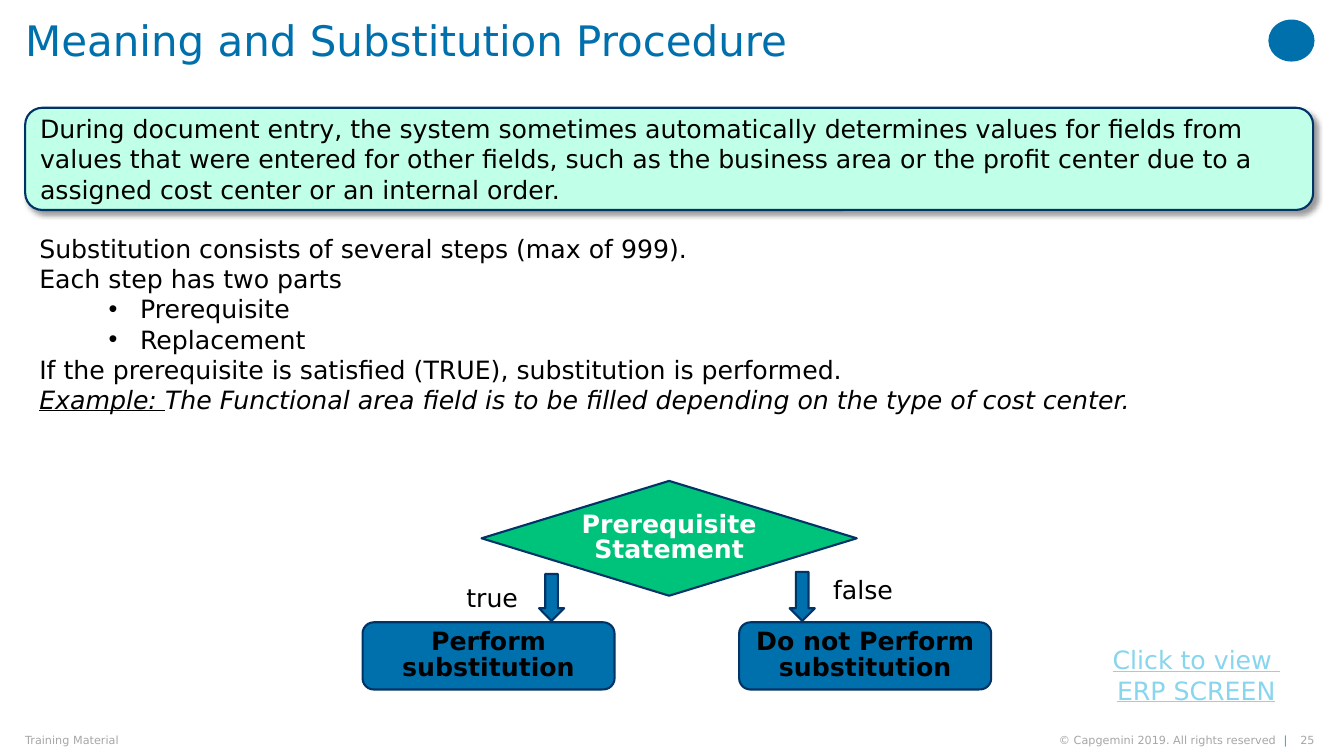
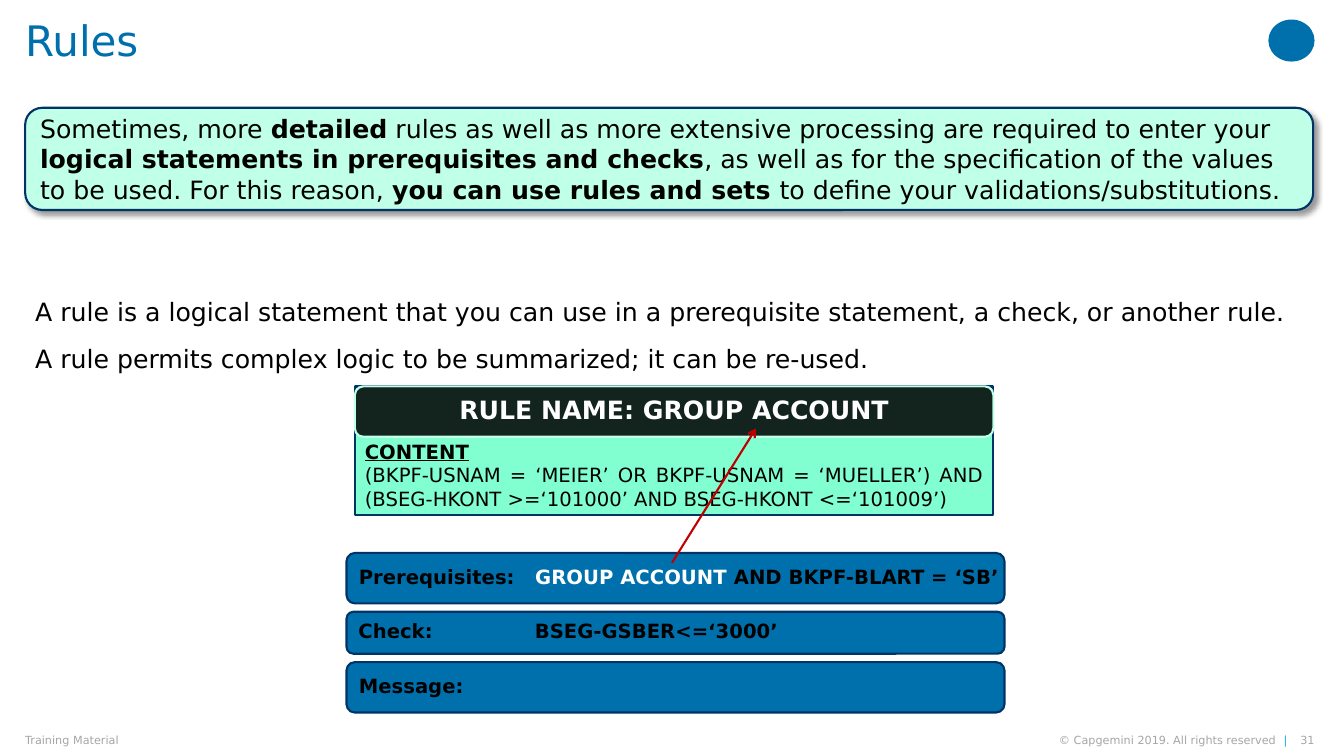
import pptx
import pptx.dml.color
import pptx.enum.shapes
import pptx.enum.text
import pptx.oxml
import pptx.oxml.ns
import pptx.util

Pt = pptx.util.Pt
SHAPE = pptx.enum.shapes.MSO_SHAPE
ALIGN = pptx.enum.text.PP_ALIGN
ANCHOR = pptx.enum.text.MSO_ANCHOR

FONT = "DejaVu Sans"
BLUE, CYAN, NAVY = "0070AD", "12ABDB", "003366"
MINT, AQUA, GREEN = "C0FFE8", "81FFD0", "00C37B"
BLACK, WHITE, GRAY = "000000", "FFFFFF", "A6A6A6"
LINK, RED = "88D5ED", "C00000"
LEFT, WIDTH = 18, 920
BOLD = {"bold": True}
CENTER = {"alignment": ALIGN.CENTER}
TIGHT = {"alignment": ALIGN.CENTER, "line_spacing": 0.85}


def rgb(value):
    """Turn a hex string into a colour."""
    return pptx.dml.color.RGBColor.from_string(value)


def set_all(obj, values):
    """Set every attribute named in a dict."""
    for name, value in values.items():
        setattr(obj, name, value)


def add_xml(parent, xml):
    """Append one drawing element given as a short string."""
    head, sep, rest = xml.partition(" ")
    parent.append(pptx.oxml.parse_xml(f"{head} {pptx.oxml.ns.nsdecls('a')} {rest}"))


def write(sp, paragraphs, size=18, color=BLACK, margins=(7.2, 3.6, 7.2, 3.6),
          anchor=ANCHOR.TOP, fmt=None, font=None):
    """Fill a shape with paragraphs, each a string or a list of (text, font) runs."""
    tf = sp.text_frame
    sides = ("margin_left", "margin_top", "margin_right", "margin_bottom")
    set_all(tf, dict(zip(sides, map(Pt, margins)), word_wrap=True, vertical_anchor=anchor))
    for i, runs in enumerate(paragraphs):
        p = tf.add_paragraph() if i else tf.paragraphs[0]
        set_all(p, {"alignment": ALIGN.LEFT, **(fmt or {})})
        for text, extra in [(runs, {})] if isinstance(runs, str) else runs:
            r = p.add_run()
            r.text = text
            values = {"name": FONT, "size": Pt(size), **(font or {}), **extra}
            r.font.color.rgb = rgb(values.pop("color", color))
            set_all(r.font, values)
    return tf


def add_text(s, box, paragraphs, **style):
    """Add a text box."""
    return write(s.shapes.add_textbox(*map(Pt, box)), paragraphs, **style)


def add_box(s, kind, box, fill, line=NAVY, weight=1.5):
    """Add a filled, outlined preset shape."""
    sp = s.shapes.add_shape(kind, *map(Pt, box))
    sp.shadow.inherit = False
    sp.fill.solid()
    sp.fill.fore_color.rgb = rgb(fill)
    if line:
        sp.line.color.rgb = rgb(line)
        sp.line.width = Pt(weight)
    else:
        sp.line.fill.background()
    return sp


def add_frame(prs, title, number):
    """Add a slide with its title, emblem and footer."""
    s = prs.slides.add_slide(prs.slide_layouts[6])
    add_box(s, SHAPE.OVAL, (906, 14, 33, 30), BLUE, None)
    bar = [("© Capgemini 2019. All rights reserved  ", {}), ("|", {"color": CYAN})]
    footer = [(LEFT, 372, "Training Material", ALIGN.LEFT),
              (710, 209.5, bar, ALIGN.RIGHT),
              (921, 18, number, ALIGN.RIGHT)]
    for x, w, text, align in footer:
        add_text(s, (x, 523.5, w, 9.5), [text], size=8, color=GRAY, margins=(0, 0, 0, 0),
                 anchor=ANCHOR.MIDDLE, fmt={"alignment": align})
    add_text(s, (LEFT, 0, 876, 57), [title], size=30, color=BLUE,
             margins=(0, 14.4, 0, 0), fmt={"line_spacing": 0.9})
    return s


def add_callout(s, runs):
    """Add the shadowed statement under the title."""
    sp = add_box(s, SHAPE.ROUNDED_RECTANGLE, (LEFT, 77, WIDTH, 73), MINT)
    effects = sp._element.spPr.find(pptx.oxml.ns.qn("a:effectLst"))
    add_xml(effects, '<a:outerShdw blurRad="50800" dist="38100" dir="2700000" algn="tl" '
                     'rotWithShape="0"><a:srgbClr val="000000"><a:alpha val="40000"/>'
                     '</a:srgbClr></a:outerShdw>')
    write(sp, [runs], anchor=ANCHOR.MIDDLE)


def add_steps(s, x, y):
    """Add the text on substitution steps."""
    tf = add_text(s, (x, y, 917, 181), [
        "Substitution consists of several steps (max of 999).",
        "Each step has two parts",
        "Prerequisite",
        "Replacement",
        "If the prerequisite is satisfied (TRUE), substitution is performed.",
        [("Example: ", {"italic": True, "underline": True}),
         ("The Functional area field is to be filled depending on the type of cost center.",
          {"italic": True})]])
    for p in tf.paragraphs[2:4]:
        pPr = p._p.get_or_add_pPr()
        pPr.set("marL", str(Pt(72)))
        pPr.set("indent", str(Pt(-22.5)))
        add_xml(pPr, '<a:buFont typeface="Arial"/>')
        add_xml(pPr, '<a:buChar char="•"/>')


def add_decision(s, x, y):
    """Add the decision with its two outcomes."""
    sp = add_box(s, SHAPE.DIAMOND, (x + 85, y, 268, 82), GREEN)
    write(sp, ["Prerequisite", "Statement"], color=WHITE, margins=(0, 0, 0, 0),
          anchor=ANCHOR.MIDDLE, fmt=TIGHT, font=BOLD)
    outcomes = [(0, "Perform", 126, 66.5, "true", 67, 69),
                (269, "Do not Perform", 305, 65, "false", 329, 63)]
    for dx, verb, arrow_x, arrow_y, label, label_x, label_y in outcomes:
        sp = add_box(s, SHAPE.ROUNDED_RECTANGLE, (x + dx, y + 101, 180, 48), BLUE)
        write(sp, [verb, "substitution"], anchor=ANCHOR.MIDDLE, fmt=TIGHT, font=BOLD)
        add_box(s, SHAPE.DOWN_ARROW, (x + arrow_x, y + arrow_y, 18, 100 - arrow_y), BLUE)
        add_text(s, (x + label_x, y + label_y, 58, 29), [label])


def add_rule(s, x, y):
    """Add the rule's content and name."""
    sp = add_box(s, SHAPE.RECTANGLE, (x, y, 456, 92), AQUA, weight=1.75)
    tf = write(sp, [[("CONTENT", {"bold": True, "underline": True})],
                    "(BKPF-USNAM = ‘MEIER’ OR BKPF-USNAM = ‘MUELLER’) AND "
                    "(BSEG-HKONT >=‘101000’ AND BSEG-HKONT <=‘101009’)"],
               size=14, anchor=ANCHOR.BOTTOM)
    tf.paragraphs[1].alignment = ALIGN.JUSTIFY
    sp = add_box(s, SHAPE.ROUNDED_RECTANGLE, (x, y, 456, 36), BLACK, MINT)
    color = sp._element.spPr.find(".//" + pptx.oxml.ns.qn("a:srgbClr"))
    add_xml(color, '<a:alpha val="86000"/>')
    write(sp, ["RULE NAME: GROUP ACCOUNT"], color=WHITE, anchor=ANCHOR.MIDDLE,
          fmt=TIGHT, font=BOLD)


def add_validation(s, x, y):
    """Add the stacked parts of the validation."""
    rows = [(36, [("Prerequisites:\t", {}), ("GROUP ACCOUNT ", {"color": WHITE}),
                  ("AND BKPF-BLART = ‘SB’", {})]),
            (30, "Check:\tBSEG-GSBER<=‘3000’"),
            (36, "Message:")]
    for h, runs in rows:
        sp = add_box(s, SHAPE.ROUNDED_RECTANGLE, (x, y, 470, h), BLUE)
        tf = write(sp, [runs], size=14, margins=(7.2, 3.6, 0, 3.6), anchor=ANCHOR.MIDDLE,
                   fmt={"line_spacing": 0.85}, font=BOLD)
        add_xml(tf.paragraphs[0]._p.get_or_add_pPr(),
                f'<a:tabLst ><a:tab pos="{Pt(126)}" algn="l"/></a:tabLst>')
        y += h + 6


def add_arrow(s, start, end):
    """Add a thin red arrow between two points."""
    sp = s.shapes.add_connector(pptx.enum.shapes.MSO_CONNECTOR.STRAIGHT,
                                *map(Pt, start + end))
    sp.line.color.rgb = rgb(RED)
    sp.line.width = Pt(1.5)
    add_xml(sp.line._get_or_add_ln(), '<a:tailEnd type="arrow"/>')
    add_xml(sp._element.spPr, '<a:effectLst />')


def build_substitution(prs):
    """Build the slide on the substitution procedure."""
    s = add_frame(prs, "Meaning and Substitution Procedure", "25")
    add_callout(s, "During document entry, the system sometimes automatically determines "
                   "values for fields from values that were entered for other fields, such as "
                   "the business area or the profit center due to a assigned cost center or an "
                   "internal order.")
    add_steps(s, 21, 163)
    add_decision(s, 259, 343.5)
    add_text(s, (786, 457, 137, 51), ["Click to view ", "ERP SCREEN"], color=LINK,
             fmt=CENTER, font={"underline": True})


def build_rules(prs):
    """Build the slide on rules."""
    s = add_frame(prs, "Rules", "31")
    add_callout(s, [
        ("Sometimes, more ", {}), ("detailed", BOLD),
        (" rules as well as more extensive processing are required to enter your ", {}),
        ("logical statements in prerequisites and checks", BOLD),
        (", as well as for the specification of the values to be used. For this reason, ", {}),
        ("you can use rules and sets ", BOLD),
        ("to define your validations/substitutions.", {})])
    tf = add_text(s, (LEFT, 208, WIDTH, 56), [
        "A rule is a logical statement that you can use in a prerequisite statement, "
        "a check, or another rule.",
        "A rule permits complex logic to be summarized; it can be re-used."])
    tf.paragraphs[1].space_before = Pt(12)
    add_rule(s, 253.5, 276)
    add_validation(s, 247.5, 395)
    add_arrow(s, (480, 402), (540, 306))


def main():
    """Build and save the presentation."""
    prs = pptx.Presentation()
    set_all(prs, {"slide_width": Pt(960), "slide_height": Pt(540)})
    build_substitution(prs)
    build_rules(prs)
    prs.save("out.pptx")


if __name__ == "__main__":
    main()
